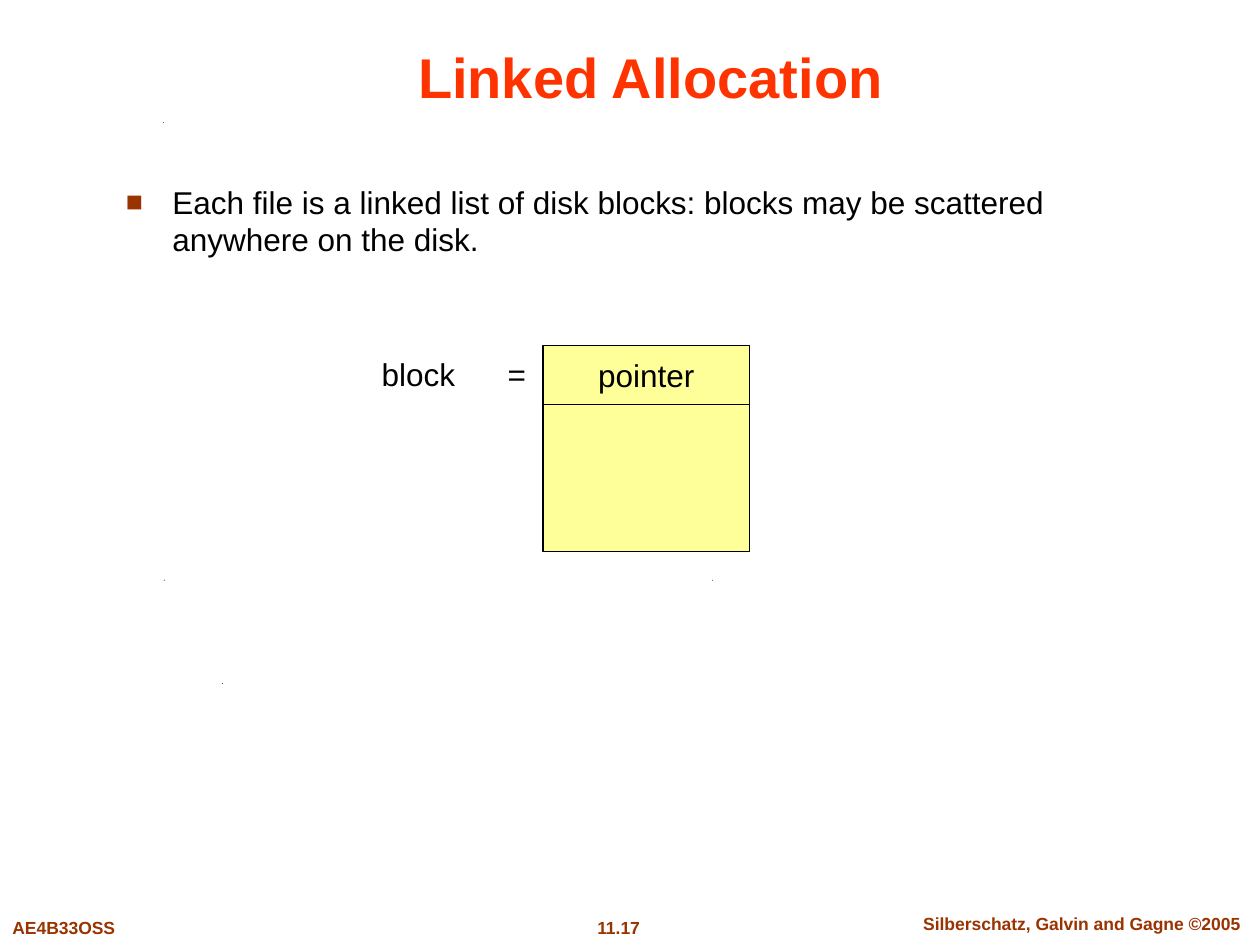
from dataclasses import dataclass

from lxml.etree import SubElement
from pptx import Presentation
from pptx.dml.color import RGBColor
from pptx.enum.shapes import MSO_SHAPE
from pptx.enum.text import MSO_ANCHOR, PP_ALIGN
from pptx.oxml.ns import qn
from pptx.shapes.autoshape import Shape
from pptx.slide import Slide
from pptx.util import Inches, Pt

COLORS = {
    "title": "FF3300",
    "accent": "993300",
    "ink": "000000",
    "block": "FFFF99",
}
FORMATS = {
    "title": {"size": Pt(32), "bold": True},
    "content": {"size": Pt(18), "bold": False},
    "footer": {"size": Pt(10), "bold": True},
}


@dataclass(frozen=True)
class Label:
    text: str
    left: float
    top: float
    width: float
    height: float
    style: str
    color: str
    align: PP_ALIGN = PP_ALIGN.CENTER
    anchor: MSO_ANCHOR = MSO_ANCHOR.TOP
    wrap: bool = False
    tab: float = 0
    bullet: str = ""


@dataclass(frozen=True)
class BlockPart:
    top: float
    height: float
    text: str = ""


@dataclass(frozen=True)
class Speck:
    left: float
    top: float


BLOCK_LEFT, BLOCK_WIDTH = 4.31, 1.64
HANGING_INDENT = 0.37
SPECK_OUTLINE = [(10, 0), (6, 8), (0, 8)]

LABELS = [
    Label("11.17", 4.38, 7.23, 1.06, 0.27, "footer", "accent"),
    Label("Silberschatz, Galvin and Gagne ©2005", 7.1, 7.2, 2.97, 0.27,
          "footer", "accent", wrap=True),
    Label("AE4B33OSS", 0, 7.23, 1.2, 0.27, "footer", "accent", PP_ALIGN.LEFT),
    Label("Linked Allocation", 0.75, 0.25, 8.83, 0.67, "title", "title",
          anchor=MSO_ANCHOR.BOTTOM, wrap=True),
    Label("Each file is a linked list of disk blocks: blocks may be scattered "
          "anywhere on the disk.", 0.9, 1.4, 8.6, 0.81, "content", "ink",
          PP_ALIGN.LEFT, wrap=True, bullet="■"),
    Label("block\t=", 2.93, 2.77, 1.38, 0.4, "content", "ink",
          PP_ALIGN.LEFT, MSO_ANCHOR.MIDDLE, tab=1),
]
BLOCK_PARTS = [BlockPart(2.74, 0.47, "pointer"), BlockPart(3.21, 1.17)]
SPECKS = [Speck(1.76, 5.42), Speck(1.3, 4.6), Speck(5.65, 4.6), Speck(1.29, 0.97)]


def rgb(name: str) -> RGBColor:
    return RGBColor.from_string(COLORS[name])


def add_bullet(properties, symbol: str) -> None:
    indent = int(Inches(HANGING_INDENT))
    properties.set("marL", str(indent))
    properties.set("indent", str(-indent))
    bullet_color = SubElement(properties, qn("a:buClr"))
    SubElement(bullet_color, qn("a:srgbClr"), val=COLORS["accent"])
    SubElement(properties, qn("a:buSzPct"), val="90000")
    SubElement(properties, qn("a:buFont"), typeface="Arial")
    SubElement(properties, qn("a:buChar"), char=symbol)


def add_tab(properties, position: float) -> None:
    tab_list = SubElement(properties, qn("a:tabLst"))
    SubElement(tab_list, qn("a:tab"), pos=str(int(Inches(position))), algn="l")


def write_text(shape: Shape, label: Label) -> None:
    frame = shape.text_frame
    frame.word_wrap = label.wrap
    frame.vertical_anchor = label.anchor
    paragraph = frame.paragraphs[0]
    paragraph.alignment = label.align
    properties = paragraph._p.get_or_add_pPr()
    if label.bullet:
        add_bullet(properties, label.bullet)
    if label.tab:
        add_tab(properties, label.tab)
    run = paragraph.add_run()
    run.text = label.text
    run.font.name = "Arial"
    run.font.color.rgb = rgb(label.color)
    for attribute, value in FORMATS[label.style].items():
        setattr(run.font, attribute, value)


def add_label(slide: Slide, label: Label) -> None:
    box = slide.shapes.add_textbox(
        Inches(label.left), Inches(label.top),
        Inches(label.width), Inches(label.height))
    write_text(box, label)


def add_block_part(slide: Slide, part: BlockPart) -> None:
    rectangle = slide.shapes.add_shape(
        MSO_SHAPE.RECTANGLE, Inches(BLOCK_LEFT), Inches(part.top),
        Inches(BLOCK_WIDTH), Inches(part.height))
    rectangle.shadow.inherit = False
    rectangle.fill.solid()
    rectangle.fill.fore_color.rgb = rgb("block")
    rectangle.line.color.rgb = rgb("ink")
    rectangle.line.width = Pt(0.75)
    if part.text:
        write_text(rectangle, Label(
            part.text, BLOCK_LEFT, part.top, BLOCK_WIDTH, part.height,
            "content", "ink", anchor=MSO_ANCHOR.MIDDLE))


def add_speck(slide: Slide, speck: Speck) -> None:
    builder = slide.shapes.build_freeform(*SPECK_OUTLINE[0], scale=Inches(1) / 1000)
    builder.add_line_segments(SPECK_OUTLINE[1:], close=True)
    outline = builder.convert_to_shape(Inches(speck.left), Inches(speck.top))
    outline.shadow.inherit = False
    outline.fill.solid()
    outline.fill.fore_color.rgb = rgb("ink")
    outline.line.fill.background()


def main() -> None:
    presentation = Presentation()
    presentation.slide_width = Inches(10)
    presentation.slide_height = Inches(7.5)
    slide = presentation.slides.add_slide(presentation.slide_layouts[6])
    for speck in SPECKS:
        add_speck(slide, speck)
    for part in BLOCK_PARTS:
        add_block_part(slide, part)
    for label in LABELS:
        add_label(slide, label)
    presentation.save("out.pptx")


if __name__ == "__main__":
    main()
